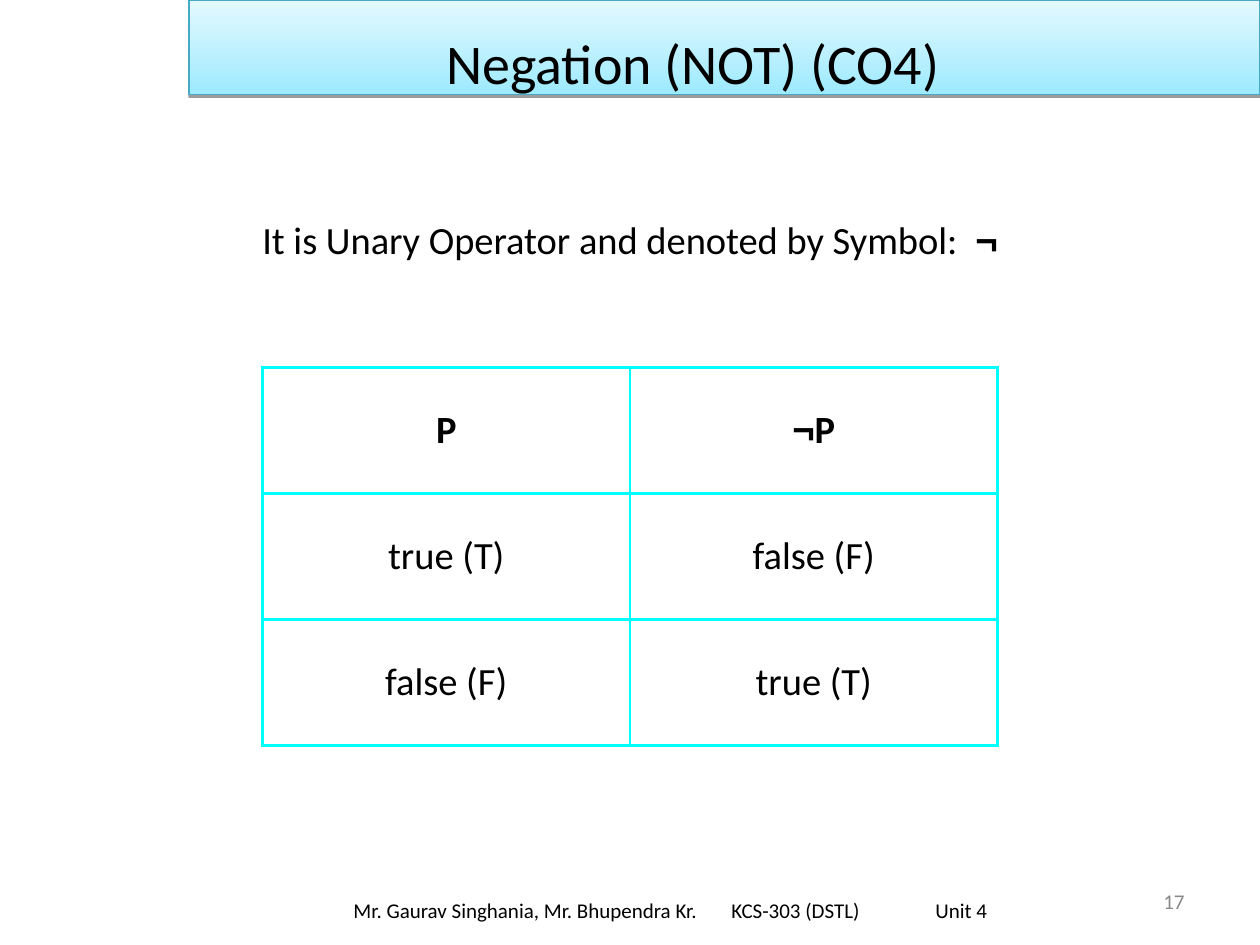
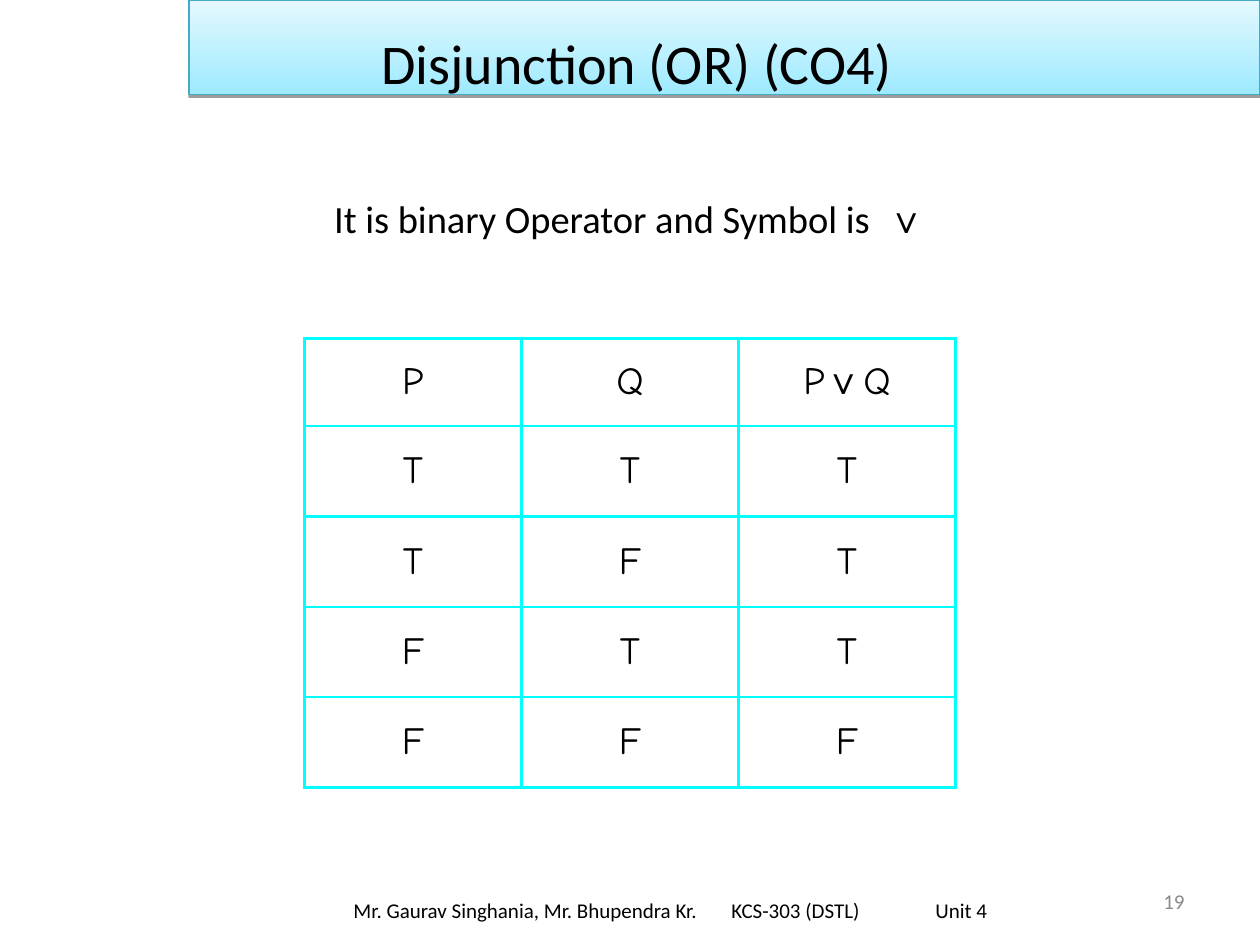
from dataclasses import dataclass

from lxml.etree import SubElement
from pptx import Presentation
from pptx.dml.color import RGBColor
from pptx.enum.shapes import MSO_SHAPE
from pptx.enum.text import MSO_ANCHOR, MSO_AUTO_SIZE, PP_ALIGN
from pptx.oxml.ns import qn
from pptx.util import Pt

BLACK = "000000"
GREY = "898989"
CYAN = "00FFFF"
TEAL = "46AAC5"
PALE = "E4F9FF"
SKY = "9EEAFF"
SANS = "Calibri"
SIGN = "Arial"
HAND = "Comic Neue"
FOOTER = "Mr. Gaurav Singhania, Mr. Bhupendra Kr.\tKCS-303 (DSTL)\tUnit 4"


@dataclass(frozen=True)
class Part:
    text: str
    font: str = SANS
    bold: bool = False
    gap: float = 0


@dataclass(frozen=True)
class Box:
    left: float
    top: float
    width: float
    height: float

    def lengths(self) -> tuple:
        return Pt(self.left), Pt(self.top), Pt(self.width), Pt(self.height)


@dataclass(frozen=True)
class Grid:
    box: Box
    head: float
    rows: list


@dataclass(frozen=True)
class Page:
    number: str
    title: str
    shift: float
    top: float
    lead: list
    grid: Grid


def paint(code: str) -> RGBColor:
    return RGBColor.from_string(code)


def write(para, parts: list, size: float, color: str = BLACK, align=PP_ALIGN.CENTER) -> None:
    base = parts[0]
    para.alignment = align
    font = para.font
    font.size, font.name, font.bold = Pt(size), base.font, base.bold
    font.color.rgb = paint(color)
    for part in parts:
        run = para.add_run()
        run.text = part.text
        if part.font != base.font:
            run.font.name = part.font
        if part.bold != base.bold:
            run.font.bold = part.bold
        if part.gap:
            run.font._element.set("spc", str(round(part.gap * 100)))


def add_text(slide, box: Box, anchor=MSO_ANCHOR.MIDDLE):
    frame = slide.shapes.add_textbox(*box.lengths()).text_frame
    frame.word_wrap = True
    frame.vertical_anchor = anchor
    return frame


def add_tabs(para, stops: list) -> None:
    tabs = SubElement(para._p.get_or_add_pPr(), qn("a:tabLst"))
    for stop in stops:
        SubElement(tabs, qn("a:tab"), pos=str(Pt(stop)), algn="l")


def add_band(slide) -> None:
    band = slide.shapes.add_shape(MSO_SHAPE.RECTANGLE, *Box(108, 0, 612, 54).lengths())
    band.fill.gradient()
    band.fill.gradient_angle = 90
    for stop, color in zip(band.fill.gradient_stops, (SKY, PALE)):
        stop.color.rgb = paint(color)
    band.line.color.rgb = paint(TEAL)
    band.line.width = Pt(0.75)
    band.shadow.inherit = False
    effects = band._element.spPr.find(qn("a:effectLst"))
    shade = SubElement(effects, qn("a:outerShdw"), blurRad="0", dist=str(Pt(1.6)),
                       dir="5400000", rotWithShape="0")
    tint = SubElement(shade, qn("a:srgbClr"), val=BLACK)
    SubElement(tint, qn("a:alpha"), val="38000")
    slide.shapes._spTree.insert(2, band._element)


def add_title(slide, text: str, shift: float) -> None:
    title = slide.shapes.title
    title.left, title.top, title.width, title.height = Box(54, 0, 612, 66).lengths()
    frame = title.text_frame
    frame.auto_size = MSO_AUTO_SIZE.NONE
    frame.vertical_anchor = MSO_ANCHOR.MIDDLE
    frame.margin_left = Pt(7.2 + shift)
    frame.margin_top = Pt(9)
    write(frame.paragraphs[0], [Part(text)], 32)


def add_border(cell) -> None:
    props = cell._tc.get_or_add_tcPr()
    for side in ("lnL", "lnR", "lnT", "lnB"):
        line = SubElement(props, qn(f"a:{side}"), w=str(Pt(1.47)))
        fill = SubElement(line, qn("a:solidFill"))
        SubElement(fill, qn("a:srgbClr"), val=CYAN)


def add_grid(slide, grid: Grid) -> None:
    count, width = len(grid.rows), len(grid.rows[0])
    table = slide.shapes.add_table(count, width, *grid.box.lengths()).table
    table.first_row = table.horz_banding = False
    for col in table.columns:
        col.width = Pt(grid.box.width / width)
    rest = (grid.box.height - grid.head) / (count - 1)
    for index, row in enumerate(grid.rows):
        table.rows[index].height = Pt(rest if index else grid.head)
        for place, parts in enumerate(row):
            cell = table.cell(index, place)
            add_border(cell)
            cell.fill.background()
            cell.vertical_anchor = MSO_ANCHOR.MIDDLE
            write(cell.text_frame.paragraphs[0], parts, 22)


def add_footer(slide, number: str) -> None:
    frame = add_text(slide, Box(516, 500.4, 168, 28.8))
    write(frame.paragraphs[0], [Part(number)], 12, GREY, PP_ALIGN.RIGHT)
    frame = add_text(slide, Box(186, 505.5, 396, 28.8))
    frame.margin_left = Pt(16)
    para = frame.paragraphs[0]
    add_tabs(para, [216, 332.5])
    write(para, [Part(FOOTER)], 12, align=PP_ALIGN.LEFT)


def add_page(deck, page: Page) -> None:
    slide = deck.slides.add_slide(deck.slide_layouts[5])
    add_band(slide)
    add_title(slide, page.title, page.shift)
    frame = add_text(slide, Box(42, page.top, 636, 66), MSO_ANCHOR.TOP)
    write(frame.paragraphs[0], page.lead, 22)
    add_grid(slide, page.grid)
    add_footer(slide, page.number)


def plain(words: str) -> list:
    return [[Part(word, HAND)] for word in words]


TRUE, FALSE = [Part("true (T)")], [Part("false (F)")]
NOT_ROWS = [
    [[Part("P", bold=True)], [Part("¬", SIGN, True), Part("P", bold=True)]],
    [TRUE, FALSE],
    [FALSE, TRUE],
]
OR_ROWS = [
    plain("PQ") + [[Part("P", HAND), Part("∨", SIGN, True), Part("Q", HAND)]],
    *map(plain, ("TTT", "TFT", "FTT", "FFF")),
]
PAGES = [
    Page("17", "Negation (NOT) (CO4)", 72, 120,
         [Part("It is Unary Operator and denoted by Symbol:"), Part(" ", gap=5),
          Part("¬", SIGN, True)],
         Grid(Box(150, 210, 420, 216), 72, NOT_ROWS)),
    Page("19", "Disjunction (OR) (CO4)", 8, 108,
         [Part("It is binary Operator and Symbol is"), Part(" ", gap=5), Part("∨", SIGN)],
         Grid(Box(174, 193.5, 372, 256.5), 50, OR_ROWS)),
]


def main() -> None:
    deck = Presentation()
    deck.slide_width, deck.slide_height = Pt(720), Pt(540)
    for page in PAGES:
        add_page(deck, page)
    deck.save("out.pptx")


if __name__ == "__main__":
    main()
